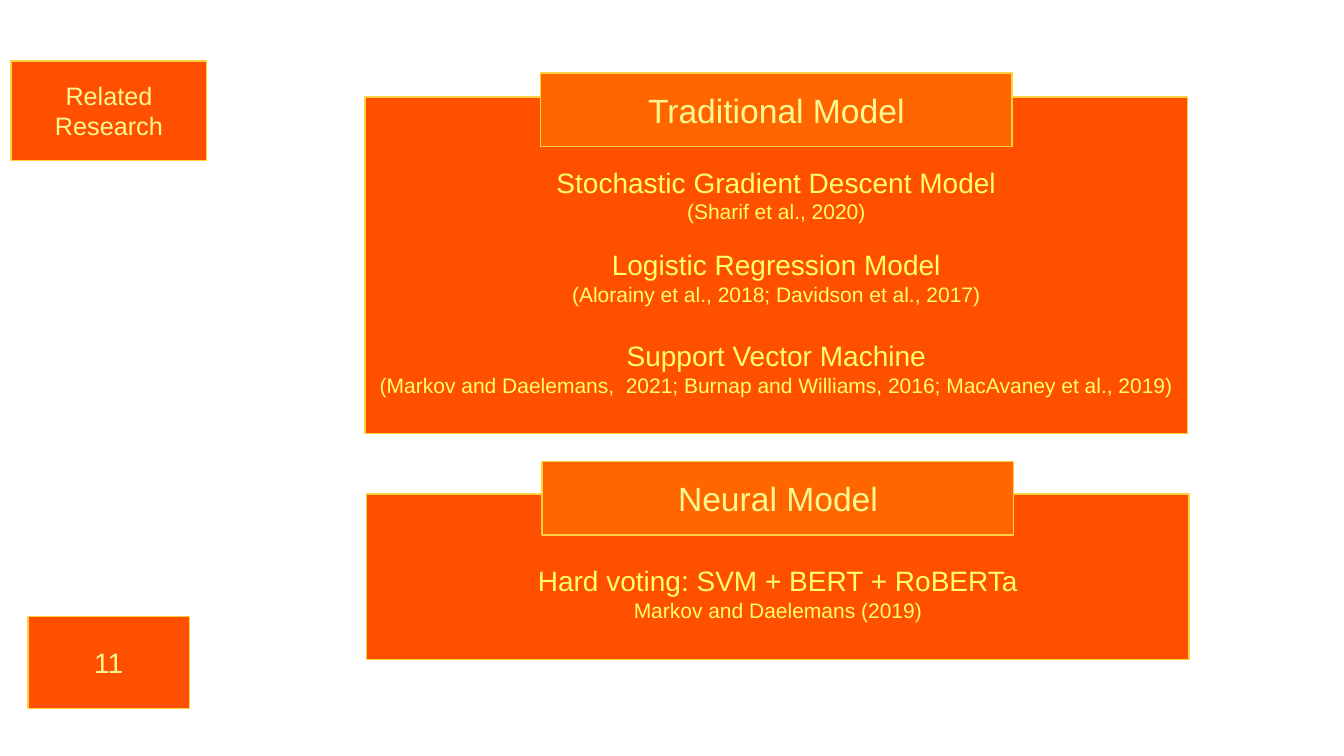
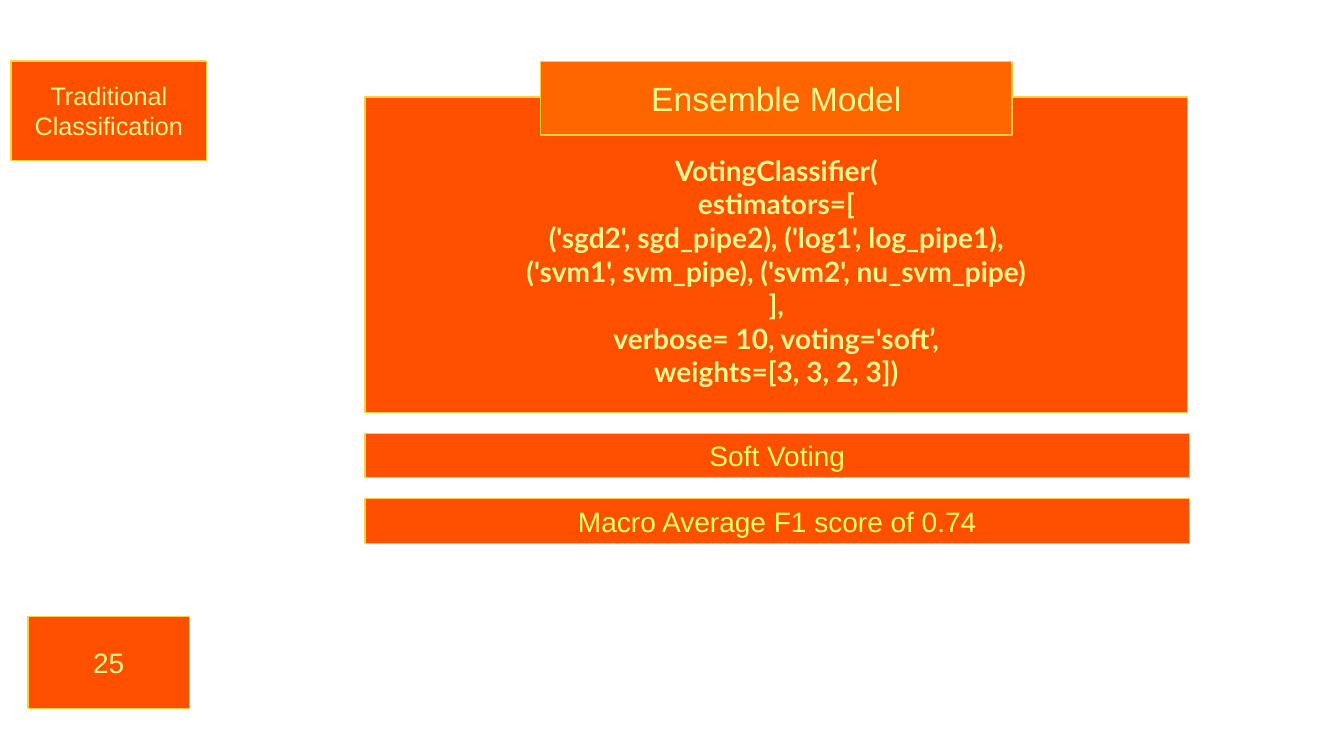
from lxml import etree
from pptx import Presentation
from pptx.dml.color import RGBColor
from pptx.enum import shapes, text
from pptx.oxml import ns
from pptx.util import Cm, Pt

HUES = {"flame": "FF5001", "orange": "FF6600", "gold": "FFD13F",
        "cream": "FCF78F", "lemon": "FFFF66"}
PANEL_X, PANEL_W = 9.2, 20.73
HEAD_W, HEAD_H = 11.89, 1.85
INSET_X, INSET_Y = 0.25, 0.13
HEAD_GAP = 0.92


def hue(name):
    return RGBColor.from_string(HUES[name])


def place(shape, box):
    left, top, width, height = (Cm(n) for n in box)
    shape.left, shape.top = left, top
    shape.width, shape.height = width, height


def paint(shape, fill="flame"):
    shape.fill.solid()
    shape.fill.fore_color.rgb = hue(fill)
    shape.line.color.rgb = hue("gold")
    shape.line.width = Pt(1)


def write(shape, rows, color="cream", font="Arial", bold=False, top=INSET_Y):
    """Fill a shape with centred rows of (words, size, space before)."""
    frame = shape.text_frame
    frame.word_wrap = True
    frame.auto_size = text.MSO_AUTO_SIZE.NONE
    frame.vertical_anchor = text.MSO_ANCHOR.MIDDLE
    frame.margin_left = frame.margin_right = Cm(INSET_X)
    frame.margin_top, frame.margin_bottom = Cm(top), Cm(INSET_Y)
    for i, (words, size, gap) in enumerate(rows):
        para = frame.add_paragraph() if i else frame.paragraphs[0]
        props = para._p.get_or_add_pPr()
        props.set("marL", "0")
        props.set("indent", "0")
        etree.SubElement(props, ns.qn("a:buNone"))
        para.alignment = text.PP_ALIGN.CENTER
        para.space_before = Pt(gap)
        run = para.add_run()
        run.text = words
        run.font.name, run.font.size = font, Pt(size)
        run.font.bold = bold
        run.font.color.rgb = hue(color)


def block(slide, box, words, size, fill="flame", color="cream"):
    """Add a filled box with one line of text."""
    shape = rect(slide)
    place(shape, box)
    paint(shape, fill)
    write(shape, [(words, size, 0)], color)


def rect(slide):
    shape = slide.shapes.add_shape(shapes.MSO_SHAPE.RECTANGLE, 0, 0, 0, 0)
    shape.shadow.inherit = False
    return shape


def panel(slide, shape, box, head, rise, rows, **style):
    """Place a text panel with a heading centred over its top edge."""
    left, top, width, _ = box
    place(shape, box)
    paint(shape)
    write(shape, rows, top=INSET_Y + HEAD_GAP - 0.1, **style)
    head_box = (left + (width - HEAD_W) / 2, top - rise, HEAD_W, HEAD_H)
    block(slide, head_box, head, 24, "orange")


def start(deck, tag, page):
    """Add a slide with its topic tag and page number."""
    slide = deck.slides.add_slide(deck.slide_layouts[1])
    title = slide.shapes.title
    place(title, (0.28, 1.54, 4.93, 2.5))
    paint(title)
    write(title, [(tag, 18, 0)])
    block(slide, (0.71, 15.54, 4.06, 2.31), page, 20)
    return slide


def related(deck):
    slide = start(deck, "Related Research", "11")
    panel(slide, slide.placeholders[1], (PANEL_X, 2.44, PANEL_W, 8.48),
          "Traditional Model", 0.6, [
              ("Stochastic Gradient Descent Model", 20, 0),
              ("(Sharif et al., 2020)", 15, 0),
              ("Logistic Regression Model", 20, 17),
              ("(Alorainy et al., 2018; Davidson et al., 2017)", 15, 0),
              ("Support Vector Machine", 20, 23),
              ("(Markov and Daelemans,  2021; Burnap and Williams, 2016; "
               "MacAvaney et al., 2019)", 15, 0)],
          color="lemon")
    panel(slide, rect(slide), (PANEL_X + 0.04, 12.45, PANEL_W, 4.17),
          "Neural Model", 0.82, [
              ("Hard voting: SVM + BERT + RoBERTa", 20, 0),
              ("Markov and Daelemans (2019)", 15, 0)],
          color="lemon")


def ensemble(deck):
    slide = start(deck, "Traditional Classification", "25")
    code = ["VotingClassifier(", "estimators=[",
            "('sgd2', sgd_pipe2), ('log1', log_pipe1),",
            "('svm1', svm_pipe), ('svm2', nu_svm_pipe)",
            "],", "verbose= 10, voting='soft’,", "weights=[3, 3, 2, 3])"]
    panel(slide, slide.placeholders[1], (PANEL_X, 2.44, PANEL_W, 7.95),
          "Ensemble Model", 0.89, [(line, 20, 0) for line in code],
          font="Lato", bold=True)
    for i, words in enumerate(["Soft Voting",
                               "Macro Average F1 score of 0.74"]):
        box = (PANEL_X, 10.92 + 1.65 * i, PANEL_W + 0.05, 1.12)
        block(slide, box, words, 20, color="lemon")


def main():
    deck = Presentation()
    deck.slide_width, deck.slide_height = Cm(33.87), Cm(19.05)
    related(deck)
    ensemble(deck)
    deck.save("out.pptx")


if __name__ == "__main__":
    main()
